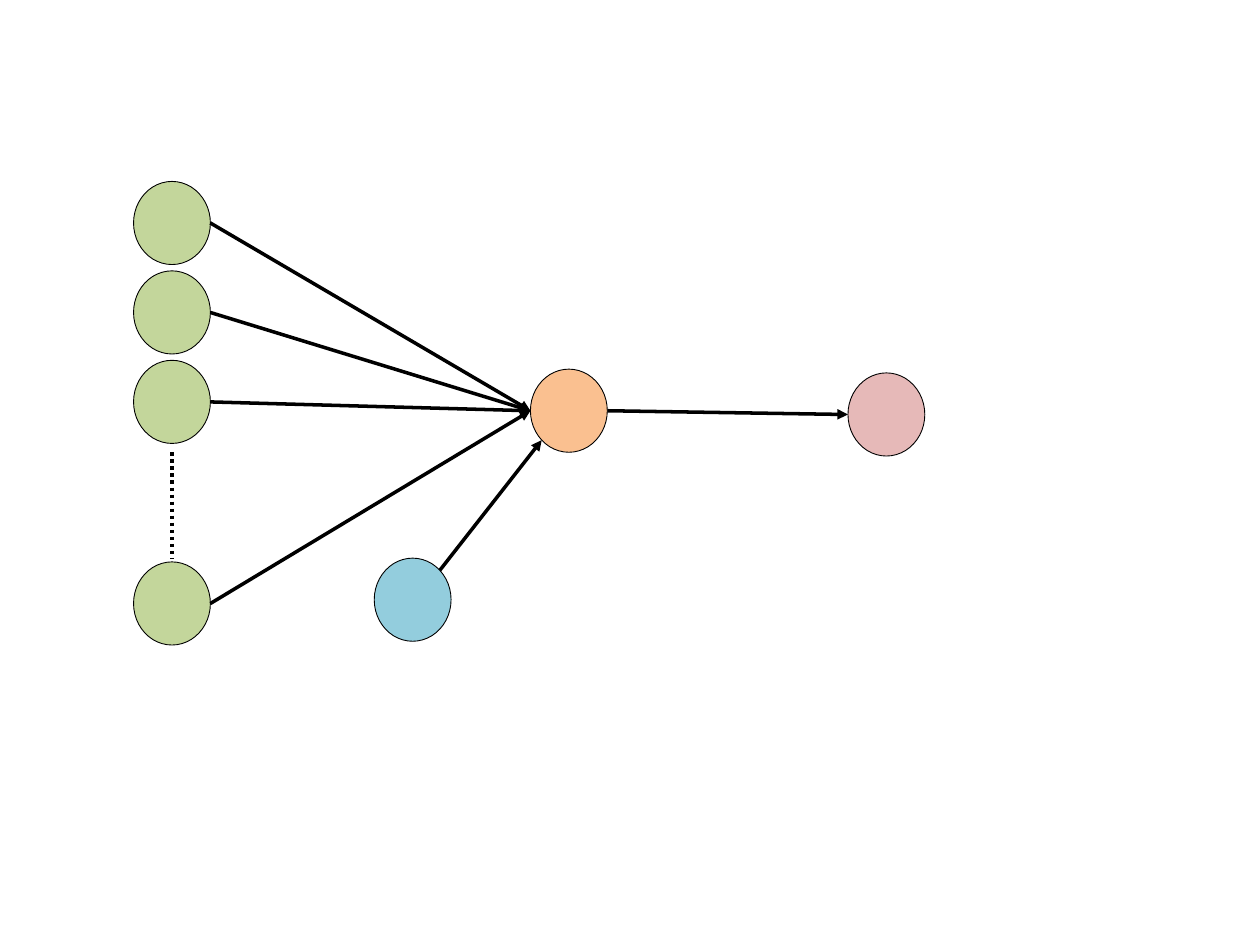
import math
from dataclasses import dataclass

import lxml.etree
import pptx
import pptx.dml.color
import pptx.enum.dml
import pptx.enum.shapes
import pptx.oxml.ns
import pptx.util


@dataclass(frozen=True)
class Theme:
    input: str = "C3D69B"
    hidden: str = "FAC090"
    output: str = "E6B9B8"
    bias: str = "93CDDD"
    line: str = "000000"
    outline: float = 0.5
    arrow: float = 2


THEME = Theme()
COLS, ROWS = 100, 75  # square grid over the slide
NODE_W, NODE_H = 6.1, 6.6  # node size in columns and rows
RIGHT, DOWN_LEFT, LEFT, UP_RIGHT = 0, 135, 180, -45  # angles on a node's rim


def grid(prs, cols, rows):
    return round(prs.slide_width * cols / COLS), round(prs.slide_height * rows / ROWS)


def style_line(line, width):
    line.color.rgb = pptx.dml.color.RGBColor.from_string(THEME.line)
    line.width = pptx.util.Pt(width)


def add_node(prs, s, left, top, fill):
    """Draw a node and return its centre in grid units."""
    sp = s.shapes.add_shape(pptx.enum.shapes.MSO_SHAPE.OVAL,
                            *grid(prs, left, top), *grid(prs, NODE_W, NODE_H))
    sp.shadow.inherit = False
    sp.fill.solid()
    sp.fill.fore_color.rgb = pptx.dml.color.RGBColor.from_string(fill)
    style_line(sp.line, THEME.outline)
    return left + NODE_W / 2, top + NODE_H / 2


def rim(centre, angle):
    a = math.radians(angle)
    return centre[0] + NODE_W / 2 * math.cos(a), centre[1] + NODE_H / 2 * math.sin(a)


def add_line(prs, s, start, end):
    c = s.shapes.add_connector(pptx.enum.shapes.MSO_CONNECTOR.STRAIGHT,
                               *grid(prs, *start), *grid(prs, *end))
    style_line(c.line, THEME.arrow)
    sp_pr = c.line._get_or_add_ln().getparent()
    lxml.etree.SubElement(sp_pr, pptx.oxml.ns.qn("a:effectLst"))
    return c


def add_arrow(prs, s, start, end):
    ln = add_line(prs, s, start, end).line._get_or_add_ln()
    lxml.etree.SubElement(ln, pptx.oxml.ns.qn("a:tailEnd"), type="triangle")


def add_inputs(prs, s, left, top):
    """Column of input nodes, with a dotted gap before the last one."""
    step, last = 7.1, 30.2
    inputs = [add_node(prs, s, left, top + row, THEME.input)
              for row in (0, step, 2 * step, last)]
    x = inputs[0][0]
    dots = add_line(prs, s, (x, top + 21.5), (x, top + 30))
    dots.line.dash_style = pptx.enum.dml.MSO_LINE.ROUND_DOT
    return inputs


def add_network(prs, s, left, top):
    """Inputs and bias feeding one hidden node, which feeds the output."""
    # Nodes
    inputs = add_inputs(prs, s, left, top)
    hidden = add_node(prs, s, left + 31.5, top + 14.9, THEME.hidden)
    output = add_node(prs, s, left + 56.7, top + 15.2, THEME.output)
    bias = add_node(prs, s, left + 19.1, top + 29.9, THEME.bias)

    # Arrows
    for node in inputs:
        add_arrow(prs, s, rim(node, RIGHT), rim(hidden, LEFT))
    add_arrow(prs, s, rim(hidden, RIGHT), rim(output, LEFT))
    add_arrow(prs, s, rim(bias, UP_RIGHT), rim(hidden, DOWN_LEFT))


def main():
    prs = pptx.Presentation()
    prs.slide_width, prs.slide_height = pptx.util.Inches(10), pptx.util.Inches(7.5)
    s = prs.slides.add_slide(prs.slide_layouts[6])
    add_network(prs, s, left=10.6, top=14.4)
    prs.save("out.pptx")


if __name__ == "__main__":
    main()
